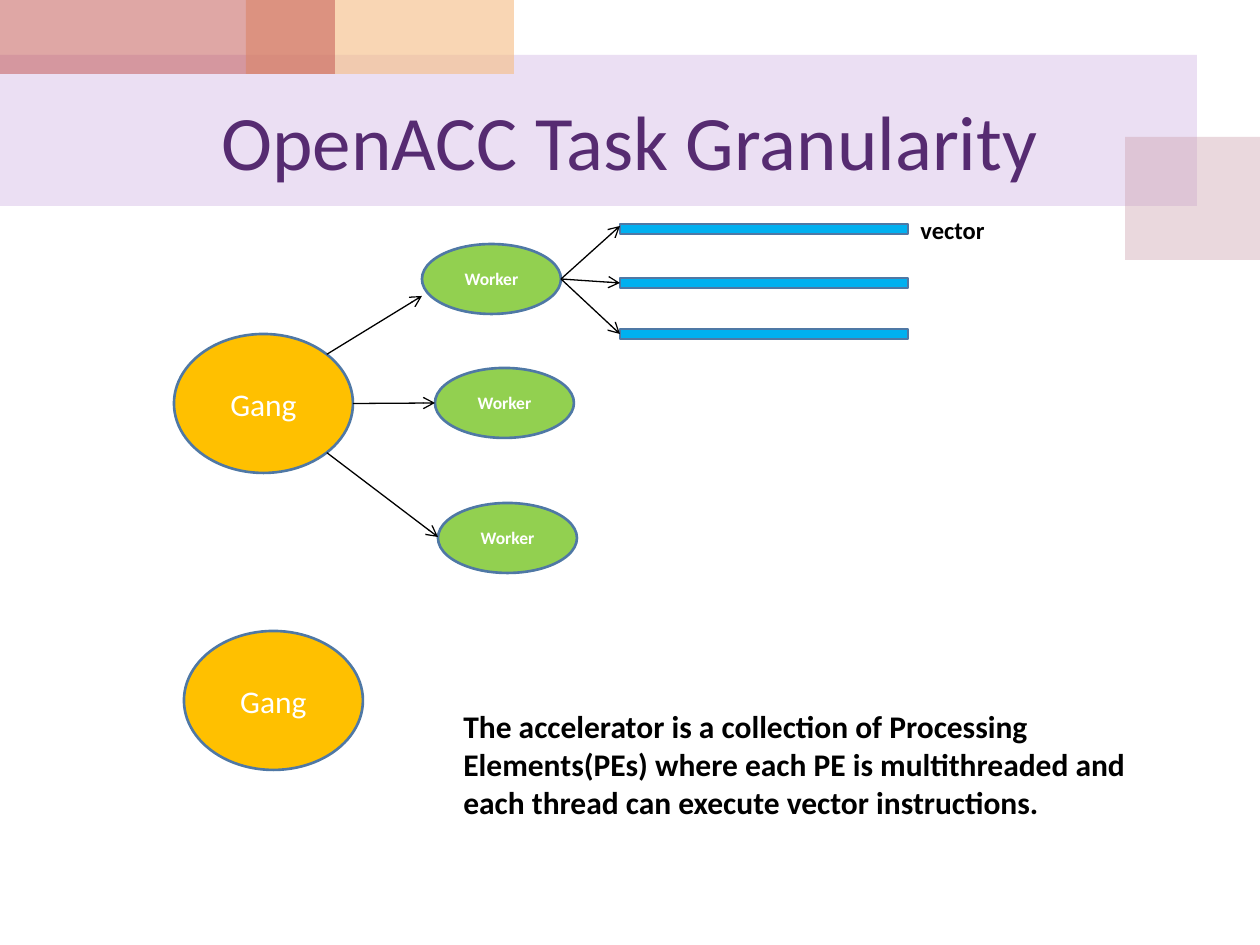
import pptx
import pptx.dml.color
import pptx.enum.shapes
import pptx.enum.text
import pptx.oxml
import pptx.oxml.ns
import pptx.util

PX = 914400 / 126
SHAPE = pptx.enum.shapes.MSO_SHAPE
ALIGN = pptx.enum.text.PP_ALIGN
ANCHOR = pptx.enum.text.MSO_ANCHOR
OUTLINE = "4F78A5"
BLACK = "000000"
WHITE = "FFFFFF"


def emu(px):
    return pptx.util.Emu(round(px * PX))


def color(hex_value):
    return pptx.dml.color.RGBColor.from_string(hex_value)


def element(parent, tag, **attributes):
    child = parent.makeelement(pptx.oxml.ns.qn(tag), attributes)
    parent.append(child)
    return child


def write(shape, words, size, ink, bold=False, align=ALIGN.LEFT, anchor=ANCHOR.TOP):
    frame = shape.text_frame
    frame.word_wrap = True
    frame.vertical_anchor = anchor
    paragraph = frame.paragraphs[0]
    paragraph.alignment = align
    run = paragraph.add_run()
    run.text = words
    for name, value in {"name": "Calibri", "size": pptx.util.Pt(size), "bold": bold}.items():
        setattr(run.font, name, value)
    run.font.color.rgb = color(ink)


def text_box(slide, box, words, size, ink, **layout):
    write(slide.shapes.add_textbox(*map(emu, box)), words, size, ink, **layout)


def solid(slide, kind, box, fill, outline=OUTLINE, opacity=100):
    shape = slide.shapes.add_shape(kind, *map(emu, box))
    shape.shadow.inherit = False
    shape.fill.solid()
    shape.fill.fore_color.rgb = color(fill)
    if opacity < 100:
        tint = shape.fill._xPr.find(".//" + pptx.oxml.ns.qn("a:srgbClr"))
        element(tint, "a:alpha", val=str(opacity * 1000))
    if outline:
        shape.line.color.rgb = color(outline)
        shape.line.width = pptx.util.Pt(1.5)
    else:
        shape.line.fill.background()
    return shape


def oval(slide, box, fill, words, size, bold=False):
    shape = solid(slide, SHAPE.OVAL, box, fill)
    write(shape, words, size, WHITE, bold, ALIGN.CENTER, ANCHOR.MIDDLE)


def arrow(slide, start, end):
    connector = slide.shapes.add_connector(
        pptx.enum.shapes.MSO_CONNECTOR.STRAIGHT, *map(emu, (*start, *end)))
    connector.line.color.rgb = color(BLACK)
    connector.line.width = pptx.util.Pt(0.75)
    element(connector.line._get_or_add_ln(), "a:tailEnd", type="arrow")
    element(connector._element.spPr, "a:effectLst")
    return connector


def header(slide, box):
    left, top, width, height = box
    blocks = [
        ((0, 55, 1197, 151), "BF98D8", 30),
        ((1125, 137, 135, 123), "CC9EAC", 40),
        ((246, 0, 268, 74), "F5BC83", 60),
        ((0, 0, 335, 74), "C0504D", 50),
    ]
    for (x, y, w, h), fill, opacity in blocks:
        solid(slide, SHAPE.RECTANGLE, (left + x, top + y, w, h), fill, None, opacity)
    text_box(slide, (left + 63, top + 74, width - 126, 132), "OpenACC Task Granularity",
             44, "562B71", align=ALIGN.CENTER, anchor=ANCHOR.MIDDLE)


def gangs(slide, box):
    left, top, width, height = box
    for x, y in [(0, 0), (10, 297)]:
        oval(slide, (left + x, top + y, width, height), "FFC000", "Gang", 18)


def workers(slide, box, gang_box):
    left, top, width, height = box
    gang_left, gang_top, gang_width, gang_height = gang_box
    diagonal = 0.5 ** 0.5
    branches = [(0, 0, diagonal, -diagonal, 52), (13, 124, 1, 0, 35),
                (16, 259, diagonal, diagonal, 34)]
    for x, y, across, down, entry in branches:
        oval(slide, (left + x, top + y, width, height), "92D050", "Worker", 10, True)
        arrow(slide,
              (gang_left + gang_width * (1 + across) / 2,
               gang_top + gang_height * (1 + down) / 2),
              (left + x, top + y + entry))


def vectors(slide, box, source):
    left, top, width, height = box
    for y, entry in [(0, 2), (54, None), (105, None)]:
        bar = solid(slide, SHAPE.RECTANGLE, (left, top + y, width, height), "00B0F0")
        link = arrow(slide, source, (left, top + y + (entry or height / 2)))
        if entry is None:
            link.end_connect(bar, 1)
    text_box(slide, (left + width, top - 15, 208, 43), "vector", 14, BLACK, bold=True)


def summary(slide, box):
    text_box(slide, box,
             "The accelerator is a collection of Processing Elements(PEs) where each PE is "
             "multithreaded and each thread can execute vector instructions.",
             18, BLACK, bold=True)


def main():
    deck = pptx.Presentation()
    deck.slide_width, deck.slide_height = emu(1260), emu(945)
    slide = deck.slides.add_slide(deck.slide_layouts[6])
    gang_box = (174, 334, 179, 139)
    worker_box = (422, 244, 139, 70)
    header(slide, (0, 0, 1260, 260))
    gangs(slide, gang_box)
    workers(slide, worker_box, gang_box)
    vectors(slide, (620, 224, 288, 10), (561, 279))
    summary(slide, (451, 701, 753, 127))
    deck.save("out.pptx")


if __name__ == "__main__":
    main()
